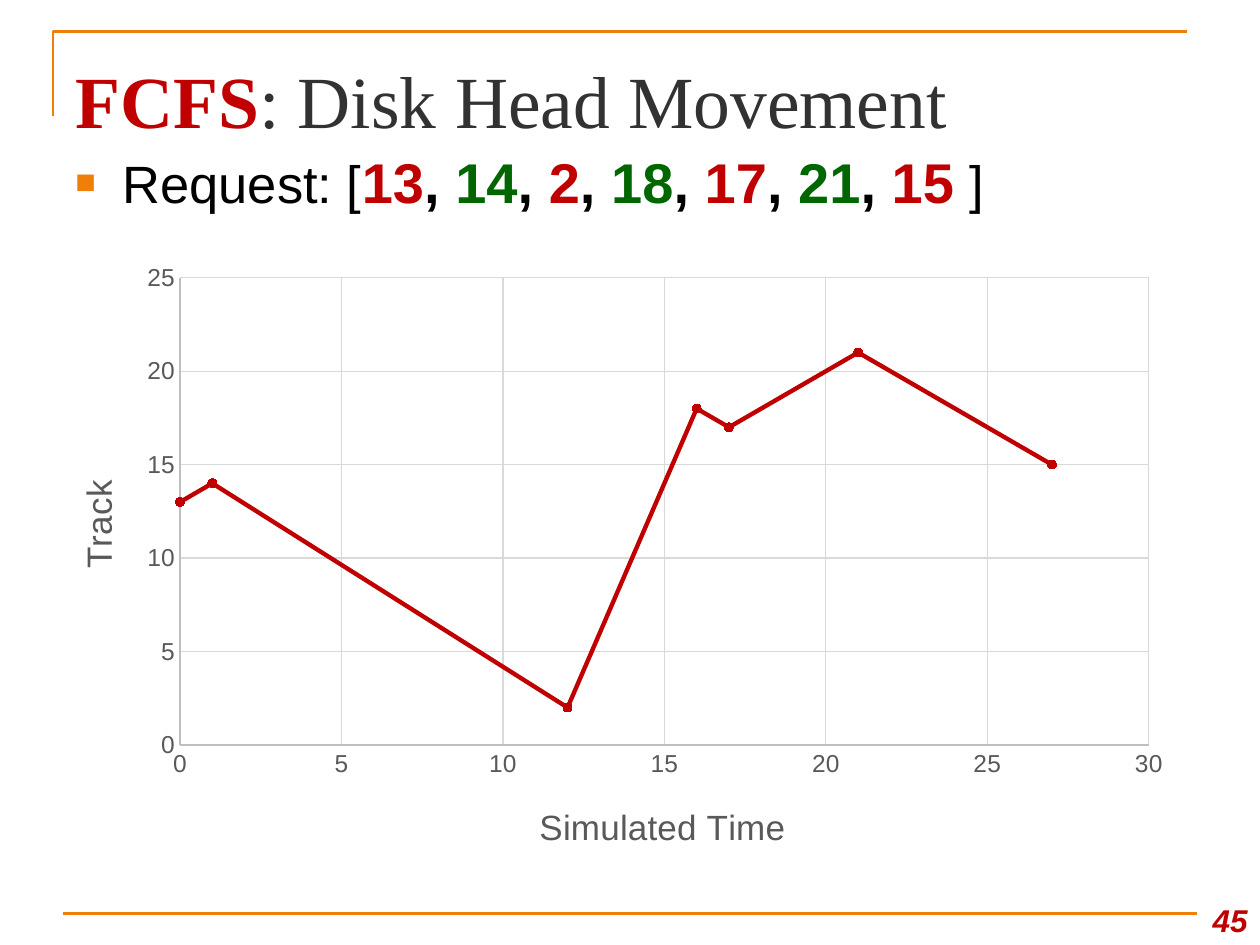
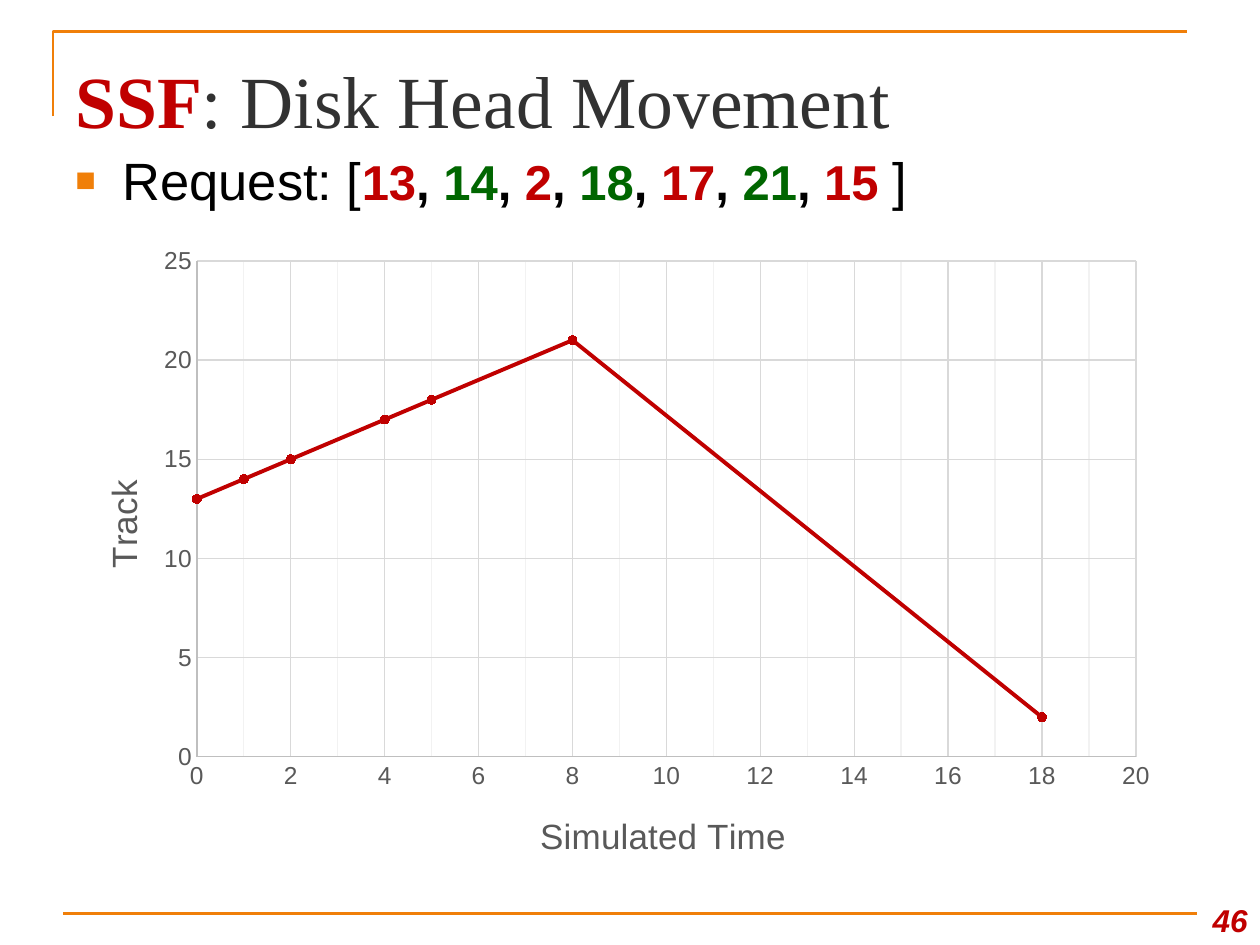
from itertools import cycle

from lxml.etree import SubElement
from pptx import Presentation
from pptx.chart.data import XyChartData
from pptx.dml.color import RGBColor
from pptx.enum.chart import XL_CHART_TYPE, XL_MARKER_STYLE, XL_TICK_MARK
from pptx.enum.shapes import MSO_CONNECTOR
from pptx.enum.text import MSO_ANCHOR, PP_ALIGN
from pptx.oxml import parse_xml
from pptx.oxml.ns import nsdecls, qn
from pptx.util import Cm, Pt

ORANGE, RED, GREEN = "F07F09", "C00000", "006600"
BLACK, DARK, GRAY = "000000", "323232", "595959"
AXIS, GRID, MINOR_GRID = "BFBFBF", "D9D9D9", "F2F2F2"

TITLE = {"name": "Times New Roman", "size": Pt(42)}
BODY = {"name": "Arial", "size": Pt(30)}
PAGE_NUMBER = {"name": "Arial", "size": Pt(18), "bold": True, "italic": True}
TICK_LABEL = {"name": "Arial", "size": Pt(14), "bold": False}
AXIS_TITLE = {"name": "Arial", "size": Pt(20), "bold": False}

REQUESTS = [13, 14, 2, 18, 17, 21, 15]

SLIDES = [
    {
        "method": "FCFS", "page": 45, "request_size": 32,
        "chart_box": (0.84, 5.08, 23.06, 12.5),
        "plot_box": (3.63, 5.6, 19.53, 9.42),
        "time_title": (10.75, 16.1), "track_title": (1.41, 9.55),
        "times": [0, 1, 12, 16, 17, 21, 27], "tracks": REQUESTS,
        "time_max": 30, "time_step": 5, "minor_step": None, "line_width": 2.5,
    },
    {
        "method": "SSF", "page": 46, "request_size": 28,
        "chart_box": (1.19, 4.72, 22.43, 12.9),
        "plot_box": (3.97, 5.26, 18.93, 10),
        "time_title": (10.76, 16.28), "track_title": (1.92, 9.55),
        "times": [0, 1, 2, 4, 5, 8, 18], "tracks": [13, 14, 15, 17, 18, 21, 2],
        "time_max": 20, "time_step": 2, "minor_step": 1, "line_width": 2.25,
    },
]


def rgb(color):
    return RGBColor.from_string(color)


def apply(target, formats):
    for name, value in formats.items():
        setattr(target, name, value)


def set_font(font, formats, color):
    apply(font, formats)
    font.color.rgb = rgb(color)


def set_line(line, color, width):
    line.color.rgb = rgb(color)
    line.width = Pt(width)


def add_run(p, text, formats, color):
    r = p.add_run()
    r.text = text
    set_font(r.font, formats, color)


def add_text(s, box, **formats):
    tf = s.shapes.add_textbox(*map(Cm, box)).text_frame
    apply(tf, {"word_wrap": True, **formats})
    return tf.paragraphs[0]


def add_frame(s, left, top, width):
    builder = s.shapes.build_freeform(Cm(left), Cm(top + 1.7), scale=1.0)
    corner, end = (Cm(left), Cm(top)), (Cm(left + width), Cm(top))
    builder.add_line_segments([corner, end], close=False)
    sp = builder.convert_to_shape()
    sp.shadow.inherit = False
    sp.fill.background()
    set_line(sp.line, ORANGE, 1.5)


def add_footer(s, left, top, width, page):
    rule = s.shapes.add_connector(
        MSO_CONNECTOR.STRAIGHT, Cm(left), Cm(top), Cm(left + width), Cm(top))
    set_line(rule.line, ORANGE, 1.5)
    SubElement(rule._element.spPr, qn("a:effectLst"))
    box = (left + width - 0.2, top - 0.63, 1.47, 1.27)
    p = add_text(s, box, vertical_anchor=MSO_ANCHOR.BOTTOM)
    p.alignment = PP_ALIGN.RIGHT
    add_run(p, str(page), PAGE_NUMBER, RED)


def add_title(s, box, method):
    p = add_text(s, box, margin_top=Cm(0.34))
    add_run(p, method, {**TITLE, "bold": True}, RED)
    add_run(p, ": Disk Head Movement", TITLE, DARK)


def add_bullet(p, indent):
    pPr = p._p.get_or_add_pPr()
    pPr.set("marL", str(Cm(indent)))
    pPr.set("indent", str(-Cm(indent)))
    SubElement(SubElement(pPr, qn("a:buClr")), qn("a:srgbClr"), val=ORANGE)
    SubElement(pPr, qn("a:buSzPct"), val="65000")
    SubElement(pPr, qn("a:buFont"), typeface="Arial")
    SubElement(pPr, qn("a:buChar"), char="■")


def add_requests(s, box, size):
    p = add_text(s, box, margin_top=Cm(0.24))
    add_bullet(p, 0.95)
    number = {**BODY, "size": Pt(size), "bold": True}
    add_run(p, "Request: [", BODY, BLACK)
    for i, (track, color) in enumerate(zip(REQUESTS, cycle([RED, GREEN]))):
        if i:
            add_run(p, ", ", number, BLACK)
        last = i == len(REQUESTS) - 1
        add_run(p, f"{track} " if last else str(track), number, color)
    add_run(p, "]", BODY, BLACK)


def manual_layout(chart_box, left, top, width=None, height=None):
    x, y, w, h = chart_box
    values = {"x": (left - x) / w, "y": (top - y) / h}
    tags = '<c:xMode val="edge"/><c:yMode val="edge"/>'
    if width:
        values.update(w=width / w, h=height / h)
        tags = '<c:layoutTarget val="inner"/>' + tags
    tags += "".join(f'<c:{k} val="{v:.4f}"/>' for k, v in values.items())
    return parse_xml(f'<c:layout {nsdecls("c")}><c:manualLayout>{tags}'
                     "</c:manualLayout></c:layout>")


def drop_layout(element):
    for layout in element.findall(qn("c:layout")):
        element.remove(layout)


def format_axis(axis, title, maximum, step, chart_box, corner, rotation):
    apply(axis, {
        "minimum_scale": 0, "maximum_scale": maximum, "major_unit": step,
        "major_tick_mark": XL_TICK_MARK.NONE,
        "minor_tick_mark": XL_TICK_MARK.NONE,
        "has_major_gridlines": True, "has_title": True,
    })
    set_line(axis.format.line, AXIS, 0.75)
    set_line(axis.major_gridlines.format.line, GRID, 0.75)
    set_font(axis.tick_labels.font, TICK_LABEL, GRAY)
    tf = axis.axis_title.text_frame
    add_run(tf.paragraphs[0], title, AXIS_TITLE, GRAY)
    element = axis.axis_title._element
    body = element.find(".//" + qn("a:bodyPr"))
    body.set("rot", str(rotation * 60000))
    body.set("vert", "horz")
    drop_layout(element)
    element.find(qn("c:tx")).addnext(manual_layout(chart_box, *corner))


def add_minor_grid(axis, step):
    apply(axis, {"has_minor_gridlines": True, "minor_unit": step})
    grid = axis._element.find(qn("c:minorGridlines"))
    ln = SubElement(SubElement(grid, qn("c:spPr")), qn("a:ln"), w=str(Pt(0.75)))
    SubElement(SubElement(ln, qn("a:solidFill")), qn("a:srgbClr"), val=MINOR_GRID)


def add_movement_chart(s, box, info):
    data = XyChartData()
    series = data.add_series("Series 1")
    for time, track in zip(info["times"], info["tracks"]):
        series.add_data_point(time, track)
    chart = s.shapes.add_chart(
        XL_CHART_TYPE.XY_SCATTER_LINES, *map(Cm, box), data).chart
    apply(chart, {"has_legend": False, "has_title": False})
    set_font(chart.font, {"name": "Arial", "size": Pt(10)}, BLACK)

    time_axis = chart.category_axis
    format_axis(time_axis, "Simulated Time", info["time_max"],
                info["time_step"], box, info["time_title"], 0)
    format_axis(chart.value_axis, "Track", 25, 5, box, info["track_title"], -90)
    if info["minor_step"]:
        add_minor_grid(time_axis, info["minor_step"])

    plot = chart.plots[0]
    plot.vary_by_categories = False
    movement = plot.series[0]
    set_line(movement.format.line, RED, info["line_width"])
    marker = movement.marker
    apply(marker, {"style": XL_MARKER_STYLE.CIRCLE, "size": 5})
    marker.format.fill.solid()
    marker.format.fill.fore_color.rgb = rgb(RED)
    set_line(marker.format.line, RED, 0.75)

    area = chart._chartSpace.find(".//" + qn("c:plotArea"))
    drop_layout(area)
    area.insert(0, manual_layout(box, *info["plot_box"]))


def add_movement_slide(prs, info):
    s = prs.slides.add_slide(prs.slide_layouts[6])
    add_frame(s, 1.07, 0.64, 22.86)
    add_footer(s, 1.27, 18.41, 22.86, info["page"])
    add_title(s, (1.27, 0.76, 22.86, 1.98), info["method"])
    add_requests(s, (1.27, 2.74, 22.86, 1.47), info["request_size"])
    add_movement_chart(s, info["chart_box"], info)


def main():
    prs = Presentation()
    apply(prs, {"slide_width": Cm(25.4), "slide_height": Cm(19.05)})
    for info in SLIDES:
        add_movement_slide(prs, info)
    prs.save("out.pptx")


if __name__ == "__main__":
    main()
